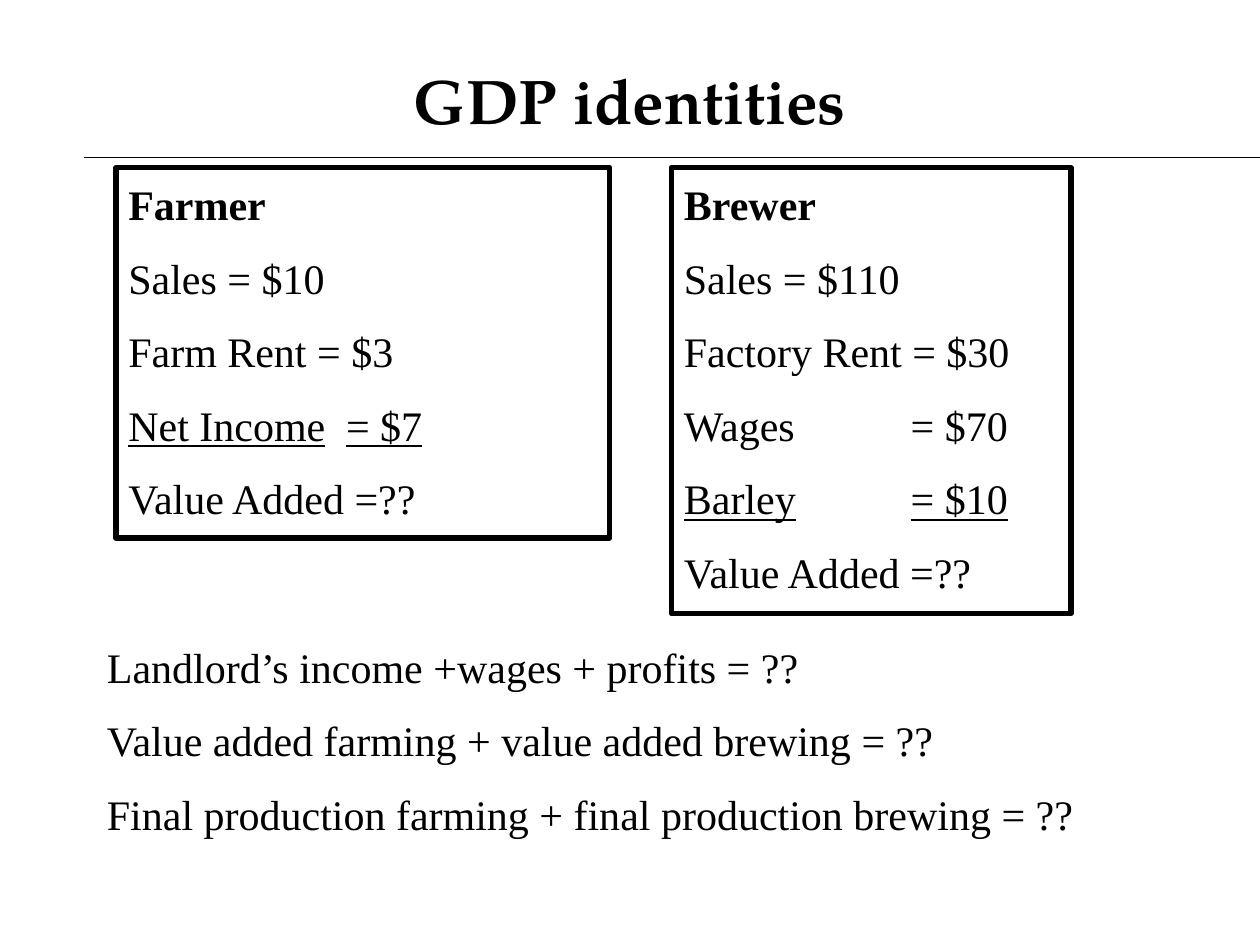
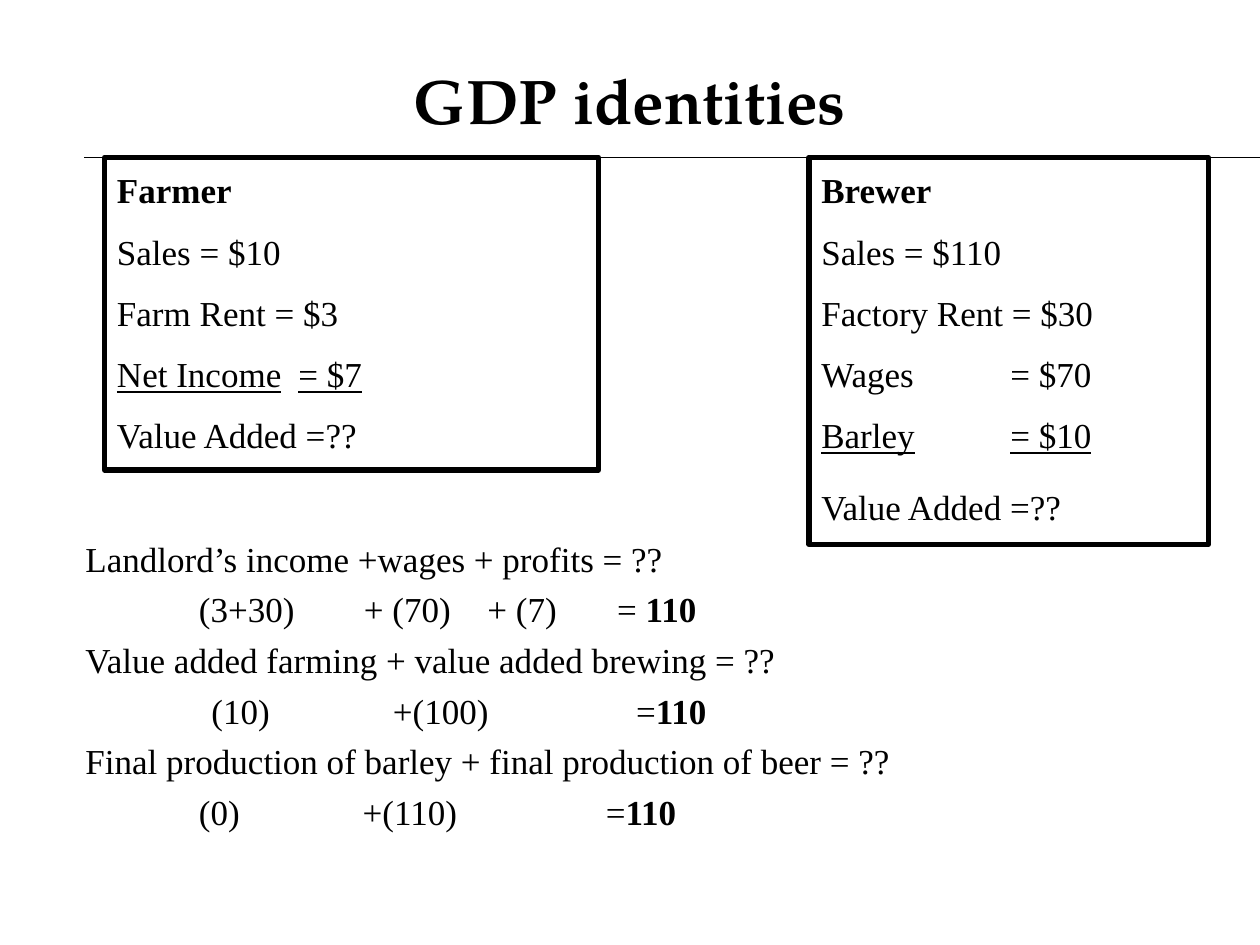
from dataclasses import dataclass

import pptx
import pptx.dml.color
import pptx.enum.shapes
import pptx.enum.text
import pptx.oxml
import pptx.oxml.ns
import pptx.util
from pptx.util import Inches

COLORS = {"ink": "000000", "paper": "FFFFFF"}
TITLE_FONT = "TeX Gyre Pagella"
BODY_FONT = "Times New Roman"
SPACE_RATIO = 0.55  # space before a paragraph, as a share of the text size
FARMER_TAB = 0.072  # tab stops in inches per point of text size
BREWER_TAB = 0.075


@dataclass(frozen=True)
class Entry:
    """One paragraph: plain text, an optional bold result, and its tab stops in inches."""
    text: str
    result: str = ""
    bold: bool = False
    underline: bool = False
    tabs: tuple[float, ...] = ()
    extra_space: float = 0


@dataclass(frozen=True)
class Block:
    left: float
    top: float
    width: float
    height: float
    size: int
    entries: list[Entry]
    framed: bool = True
    line_spacing: float = 1.0


def rgb(name: str) -> pptx.dml.color.RGBColor:
    return pptx.dml.color.RGBColor.from_string(COLORS[name])


def add_run(paragraph, text: str, font: str, size: int, bold: bool, underline: bool = False) -> None:
    run = paragraph.add_run()
    run.text = text
    run.font.name = font
    run.font.size = pptx.util.Pt(size)
    run.font.bold = bold
    run.font.underline = underline
    run.font.color.rgb = rgb("ink")


def set_tabs(paragraph, stops: tuple[float, ...]) -> None:
    if not stops:
        return
    tab_list = pptx.oxml.parse_xml(f"<a:tabLst {pptx.oxml.ns.nsdecls('a')}/>")
    for stop in stops:
        tab = tab_list.makeelement(pptx.oxml.ns.qn("a:tab"), {"pos": str(Inches(stop)), "algn": "l"})
        tab_list.append(tab)
    paragraph._p.get_or_add_pPr().append(tab_list)


def add_heading(slide, text: str) -> None:
    """Draw the centred title and the rule under it."""
    rule = slide.shapes.add_connector(
        pptx.enum.shapes.MSO_CONNECTOR.STRAIGHT, Inches(0.67), Inches(1.25), Inches(10), Inches(1.25))
    rule.line.color.rgb = rgb("ink")
    rule.line.width = pptx.util.Pt(0.75)
    properties = rule._element.spPr
    properties.append(properties.makeelement(pptx.oxml.ns.qn("a:effectLst"), {}))

    heading = slide.shapes.add_textbox(Inches(0.5), Inches(0.33), Inches(9), Inches(0.92)).text_frame
    heading.word_wrap = True
    heading.vertical_anchor = pptx.enum.text.MSO_ANCHOR.MIDDLE
    paragraph = heading.paragraphs[0]
    paragraph.alignment = pptx.enum.text.PP_ALIGN.CENTER
    add_run(paragraph, text, TITLE_FONT, 36, True)


def add_block(slide, block: Block) -> None:
    bounds = [Inches(v) for v in (block.left, block.top, block.width, block.height)]
    if block.framed:
        shape = slide.shapes.add_shape(pptx.enum.shapes.MSO_SHAPE.RECTANGLE, *bounds)
        shape.shadow.inherit = False
        shape.fill.background()
        shape.line.color.rgb = rgb("ink")
        shape.line.width = pptx.util.Pt(3)
    else:
        shape = slide.shapes.add_textbox(*bounds)
    frame = shape.text_frame
    frame.word_wrap = True
    frame.vertical_anchor = pptx.enum.text.MSO_ANCHOR.TOP
    frame.margin_top = Inches(0.09)
    for index, entry in enumerate(block.entries):
        paragraph = frame.add_paragraph() if index else frame.paragraphs[0]
        set_tabs(paragraph, entry.tabs)
        paragraph.alignment = pptx.enum.text.PP_ALIGN.LEFT
        paragraph.line_spacing = block.line_spacing
        space = block.size * SPACE_RATIO + entry.extra_space if index else 0
        paragraph.space_before = pptx.util.Pt(space)
        add_run(paragraph, entry.text, BODY_FONT, block.size, entry.bold, entry.underline)
        if entry.result:
            add_run(paragraph, entry.result, BODY_FONT, block.size, True)


def farmer_account(size: int) -> list[Entry]:
    return [
        Entry("Farmer", bold=True),
        Entry("Sales = $10"),
        Entry("Farm Rent = $3"),
        Entry("Net Income\t= $7", underline=True, tabs=(size * FARMER_TAB,)),
        Entry("Value Added =??"),
    ]


def brewer_account(size: int, total_space: float = 0) -> list[Entry]:
    tabs = (size * BREWER_TAB,)
    return [
        Entry("Brewer", bold=True),
        Entry("Sales = $110"),
        Entry("Factory Rent = $30"),
        Entry("Wages\t= $70", tabs=tabs),
        Entry("Barley\t= $10", underline=True, tabs=tabs),
        Entry("Value Added =??", extra_space=total_space),
    ]


INCOME = Entry("Landlord’s income +wages + profits = ??")
VALUE_ADDED = Entry("Value added farming + value added brewing = ??")

QUESTIONS = [
    INCOME,
    VALUE_ADDED,
    Entry("Final production farming + final production brewing = ??"),
]
ANSWERS = [
    INCOME,
    Entry("\t(3+30)\t+ (70)\t+ (7)\t= ", "110", tabs=(0.9, 2.21, 3.19, 4.22)),
    VALUE_ADDED,
    Entry("\t(10)\t+(100)\t=", "110", tabs=(1, 2.44, 4.37)),
    Entry("Final production of barley + final production of beer = ??"),
    Entry("\t(0)\t+(110)\t=", "110", tabs=(0.9, 2.2, 4.13)),
]

SLIDES = [
    [
        Block(0.92, 1.33, 3.92, 2.94, 24, farmer_account(24)),
        Block(5.33, 1.33, 3.17, 3.54, 24, brewer_account(24)),
        Block(0.75, 5, 8.25, 1.7, 24, QUESTIONS, framed=False),
    ],
    [
        Block(0.83, 1.25, 3.92, 2.48, 20, farmer_account(20)),
        Block(6.42, 1.25, 3.17, 3.07, 20, brewer_account(20, total_space=6)),
        Block(0.58, 4.25, 8.25, 2.43, 20, ANSWERS, framed=False, line_spacing=0.75),
    ],
]


def main() -> None:
    deck = pptx.Presentation()
    deck.slide_width = Inches(10)
    deck.slide_height = Inches(7.5)
    for blocks in SLIDES:
        slide = deck.slides.add_slide(deck.slide_layouts[6])
        slide.background.fill.solid()
        slide.background.fill.fore_color.rgb = rgb("paper")
        add_heading(slide, "GDP identities")
        for block in blocks:
            add_block(slide, block)
    deck.save("out.pptx")


if __name__ == "__main__":
    main()
